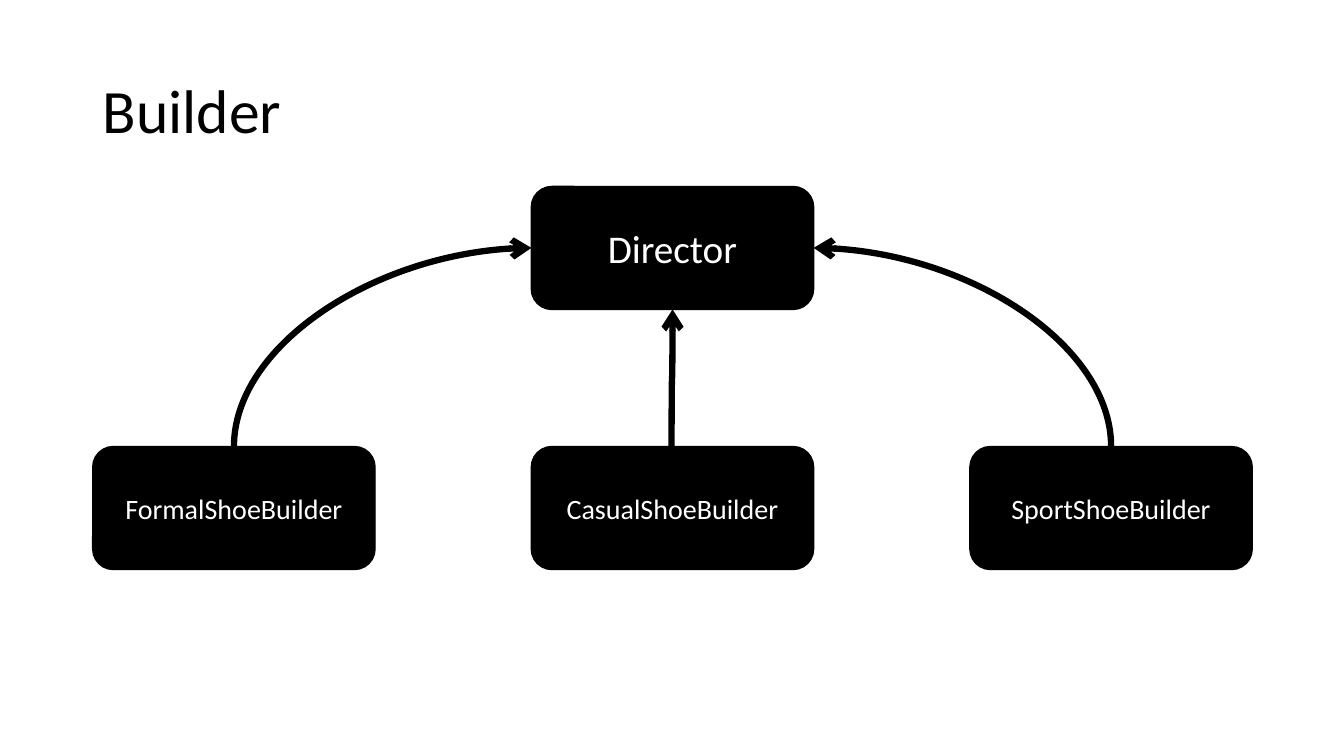
from lxml import etree
from pptx import Presentation
from pptx import util as u
from pptx.dml import color
from pptx.enum import shapes, text
from pptx.oxml import ns

THEME = {
    "font": "Calibri",
    "ink": color.RGBColor.from_string("000000"),
    "paper": color.RGBColor.from_string("FFFFFF"),
    "title": u.Pt(44),
    "director": u.Pt(28),
    "builder": u.Pt(20),
    "outline": u.Pt(1),
    "arrow": u.Pt(4.5),
}
MARGIN, COLUMN_STEP = 0.92, 4.35
BOX_WIDTH, BOX_HEIGHT = 2.8, 1.22
DIRECTOR_TOP, BUILDER_TOP = 1.85, 4.43
COLUMNS = [MARGIN + COLUMN_STEP * column for column in range(3)]


def write(shape, words, size, ink, alignment):
    frame = shape.text_frame
    frame.text = words
    frame.vertical_anchor = text.MSO_ANCHOR.MIDDLE
    paragraph = frame.paragraphs[0]
    paragraph.alignment = alignment
    font = paragraph.runs[0].font
    for name, value in {"name": THEME["font"], "size": THEME[size]}.items():
        setattr(font, name, value)
    font.color.rgb = THEME[ink]
    return paragraph


presentation = Presentation()
presentation.slide_width = u.Inches(13.33)
presentation.slide_height = u.Inches(7.5)
slide = presentation.slides.add_slide(presentation.slide_layouts[5])

title = slide.shapes.title
title_place = {"left": MARGIN, "top": 0.4, "width": 11.5, "height": 1.45}
for name, value in title_place.items():
    setattr(title, name, u.Inches(value))
heading = write(title, "Builder", "title", "ink", text.PP_ALIGN.LEFT)
heading.line_spacing = 0.9

boxes = [
    ("Director", 1, DIRECTOR_TOP, "director"),
    ("CasualShoeBuilder", 1, BUILDER_TOP, "builder"),
    ("FormalShoeBuilder", 0, BUILDER_TOP, "builder"),
    ("SportShoeBuilder", 2, BUILDER_TOP, "builder"),
]
for words, column, top, size in boxes:
    place = [u.Inches(v) for v in (COLUMNS[column], top, BOX_WIDTH, BOX_HEIGHT)]
    box = slide.shapes.add_shape(shapes.MSO_SHAPE.ROUNDED_RECTANGLE, *place)
    box.shadow.inherit = False
    box.fill.solid()
    box.fill.fore_color.rgb = THEME["ink"]
    box.line.color.rgb = THEME["ink"]
    box.line.width = THEME["outline"]
    write(box, words, size, "paper", text.PP_ALIGN.CENTER)

director_left = COLUMNS[1]
director_right = director_left + BOX_WIDTH
director_middle = DIRECTOR_TOP + BOX_HEIGHT / 2
director_bottom = DIRECTOR_TOP + BOX_HEIGHT
builder_centers = [left + BOX_WIDTH / 2 for left in COLUMNS]
arrows = [
    (builder_centers[0], director_left, director_middle, "curvedConnector2"),
    (builder_centers[1] - 0.01, builder_centers[1], director_bottom, "curvedConnector3"),
    (builder_centers[2], director_right, director_middle, "curvedConnector2"),
]
for start_x, end_x, end_y, preset in arrows:
    center_x, center_y = (start_x + end_x) / 2, (BUILDER_TOP + end_y) / 2
    half_width, half_height = (BUILDER_TOP - end_y) / 2, abs(end_x - start_x) / 2
    side = 1 if end_x > start_x else -1
    ends = (
        center_x + side * half_width,
        center_y + half_height,
        center_x - side * half_width,
        center_y - half_height,
    )
    arrow = slide.shapes.add_connector(
        shapes.MSO_CONNECTOR.CURVE, *[u.Inches(value) for value in ends]
    )
    arrow.line.color.rgb = THEME["ink"]
    arrow.line.width = THEME["arrow"]
    properties = arrow.element.spPr
    properties.find(ns.qn("a:xfrm")).set("rot", str((90 if side > 0 else 270) * 60000))
    properties.find(ns.qn("a:prstGeom")).set("prst", preset)
    line = properties.find(ns.qn("a:ln"))
    etree.SubElement(line, ns.qn("a:tailEnd"), type="arrow")
    etree.SubElement(properties, ns.qn("a:effectLst"))

presentation.save("out.pptx")
